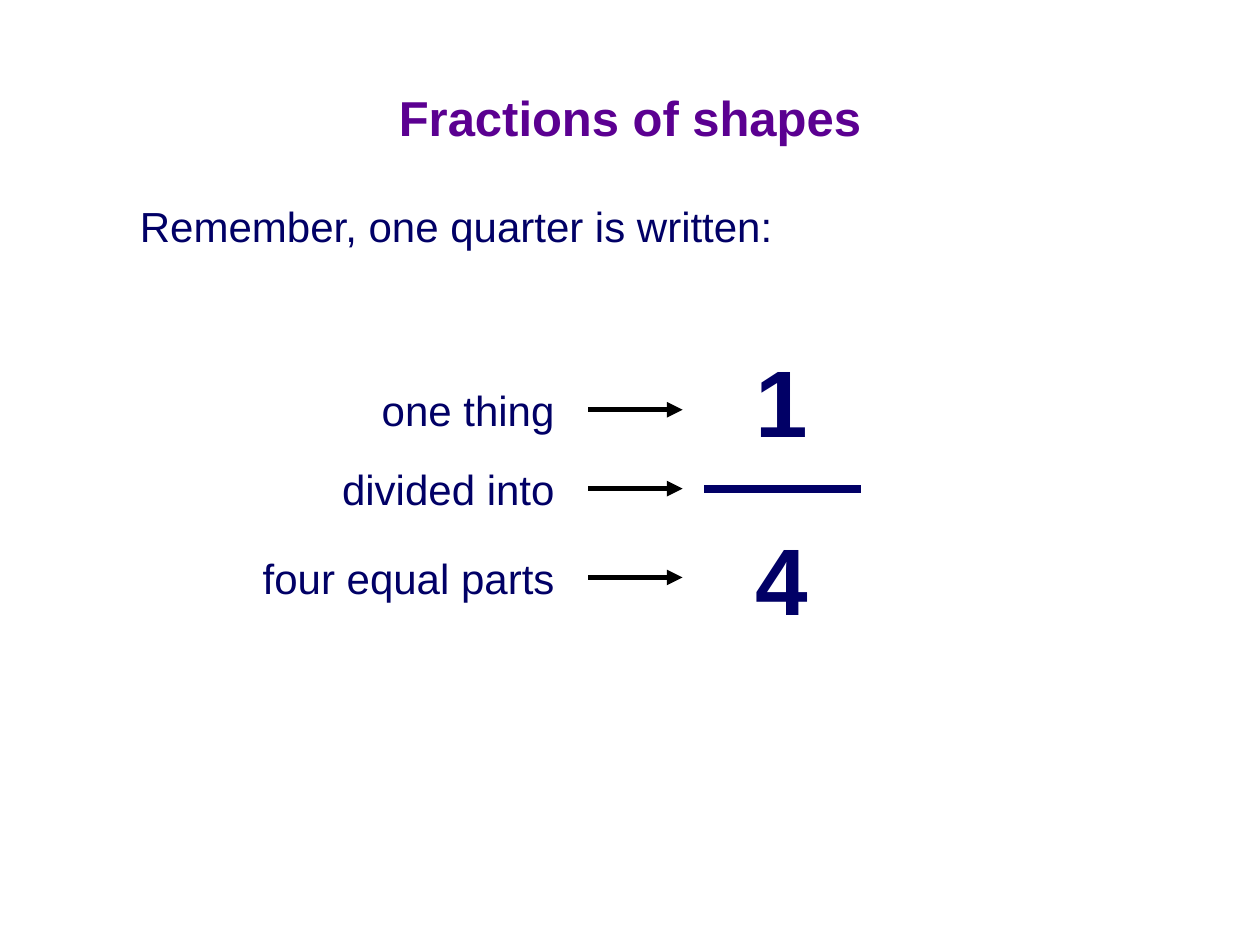
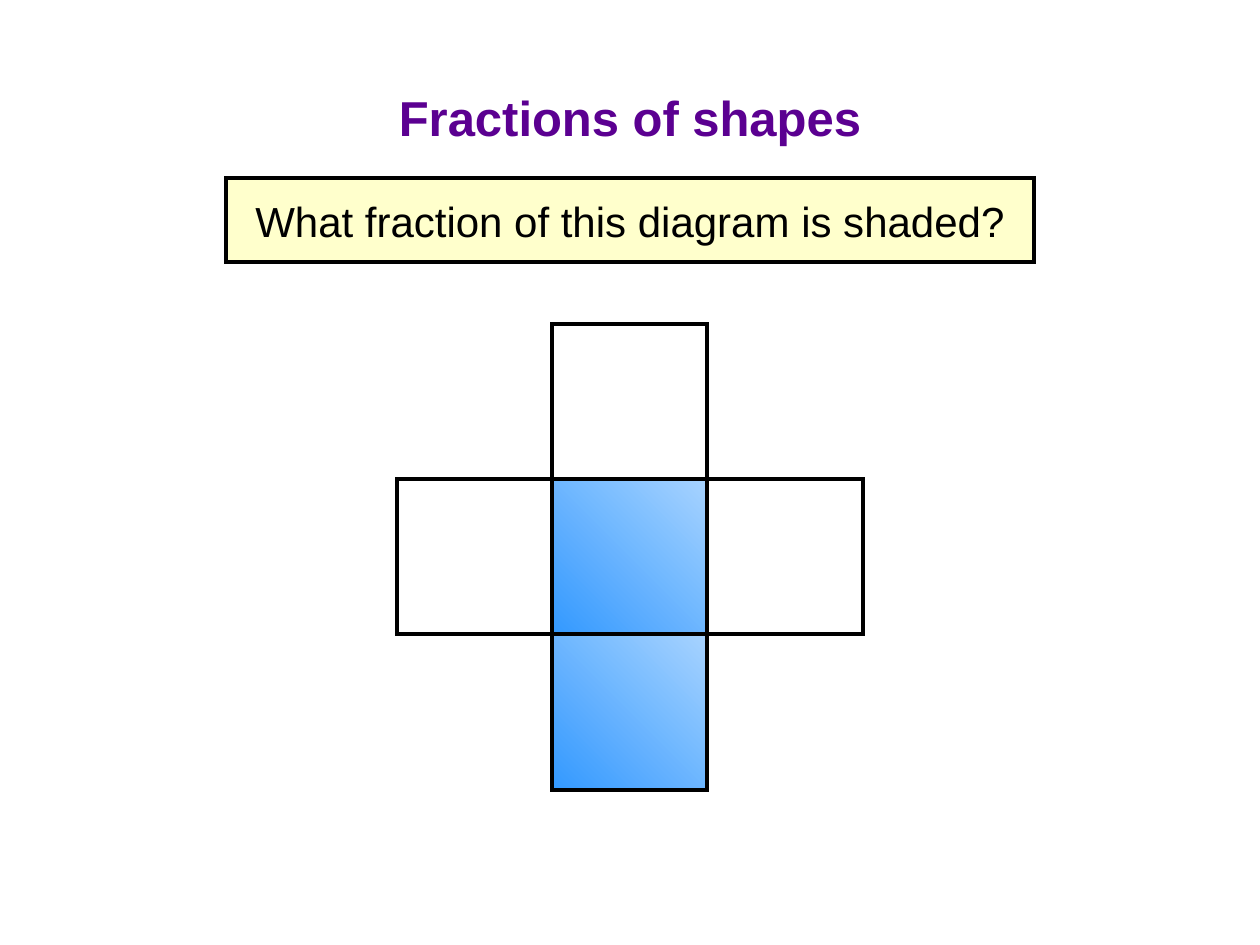
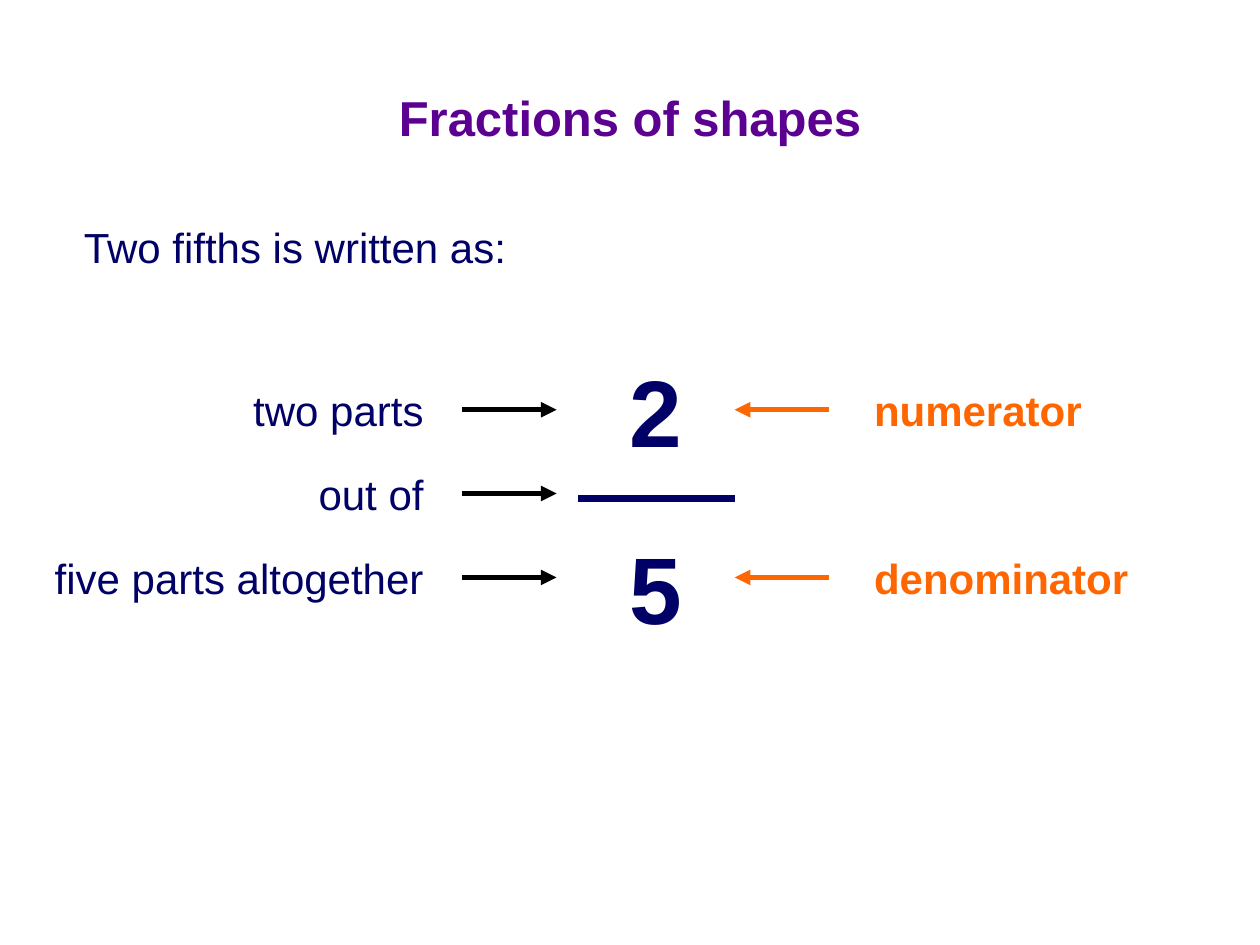
from dataclasses import dataclass

from lxml.etree import SubElement
from pptx import Presentation
from pptx.dml.color import RGBColor
from pptx.enum.shapes import MSO_CONNECTOR, MSO_SHAPE
from pptx.enum.text import MSO_ANCHOR, PP_ALIGN
from pptx.oxml.ns import qn
from pptx.util import Cm, Pt


@dataclass(frozen=True)
class Theme:
    font: str = "Arial"
    purple: str = "5B0091"
    navy: str = "010066"
    orange: str = "FF6600"
    black: str = "000000"
    white: str = "FFFFFF"
    cream: str = "FFFFCC"
    shade: tuple = ("A7D3FF", "3399FF")
    title_size: float = 28
    text_size: float = 24
    digit_size: float = 54
    outline: float = 2.25
    arrow: float = 3
    bar: float = 4.5


T = Theme()
LINE_H = 1.27
DIGIT_H = 2.54


def style(p, color, size=T.text_size, bold=False, align=PP_ALIGN.LEFT):
    p.alignment = align
    p.font.name = T.font
    p.font.size = Pt(size)
    p.font.bold = bold
    p.font.color.rgb = RGBColor.from_string(color)


def add_titled_slide(prs):
    s = prs.slides.add_slide(prs.slide_layouts[5])
    title = s.shapes.title
    title.left, title.top, title.width, title.height = Cm(1.27), Cm(0.76), Cm(22.86), Cm(3.18)
    title.text_frame.text = "Fractions of shapes"
    style(title.text_frame.paragraphs[0], T.purple, T.title_size, True, PP_ALIGN.CENTER)
    return s


def add_text(s, text, left, top, width, height=LINE_H, color=T.navy, **look):
    tf = s.shapes.add_textbox(Cm(left), Cm(top), Cm(width), Cm(height)).text_frame
    tf.word_wrap = False
    p = tf.paragraphs[0]
    p.text = text
    style(p, color, **look)


def add_line(s, x1, x2, y, color, weight, arrow=True):
    """Draw a horizontal line, with an arrowhead at x2 if arrow is set."""
    line = s.shapes.add_connector(MSO_CONNECTOR.STRAIGHT, Cm(x1), Cm(y), Cm(x2), Cm(y))
    line.line.color.rgb = RGBColor.from_string(color)
    line.line.width = Pt(weight)
    props = line.element.spPr
    if arrow:
        SubElement(props.find(qn("a:ln")), qn("a:tailEnd"), type="triangle")
    SubElement(props, qn("a:effectLst"))


def add_rect(shapes, left, top, width, height, fill):
    """Add an outlined rectangle; a pair of colours as fill makes a gradient."""
    rect = shapes.add_shape(MSO_SHAPE.RECTANGLE, Cm(left), Cm(top), Cm(width), Cm(height))
    rect.shadow.inherit = False
    if isinstance(fill, tuple):
        rect.fill.gradient()
        rect.fill.gradient_angle = 225
        for stop, color in zip(rect.fill.gradient_stops, fill):
            stop.color.rgb = RGBColor.from_string(color)
    else:
        rect.fill.solid()
        rect.fill.fore_color.rgb = RGBColor.from_string(fill)
    rect.line.color.rgb = RGBColor.from_string(T.black)
    rect.line.width = Pt(T.outline)
    SubElement(rect.element.spPr.find(qn("a:ln")), qn("a:miter"), lim="800000")
    return rect


def add_fraction(s, left, rows, bar_y, digits, label_gap, labels, names=()):
    """Draw a fraction explained by arrows that start at left, one per row."""
    arrow_w, bar_x, bar_w = 1.9, 2.34, 3.15
    bar_end = left + bar_x + bar_w

    for y, (text, width) in zip(rows, labels):
        add_text(s, text, left - label_gap - width, y - LINE_H / 2, width,
                 align=PP_ALIGN.RIGHT)
        add_line(s, left, left + arrow_w, y, T.black, T.arrow)

    for digit, offset in zip(digits, (-3.06, 0.52)):
        add_text(s, digit, left + 3.12, bar_y + offset, 1.55, DIGIT_H,
                 size=T.digit_size, bold=True)
    add_line(s, left + bar_x, bar_end, bar_y, T.navy, T.bar, arrow=False)

    for y, (text, width) in zip(rows[::2], names):
        add_line(s, bar_end + arrow_w, bar_end, y, T.orange, T.arrow)
        add_text(s, text, left + 8.05, y - LINE_H / 2, width, color=T.orange, bold=True)


def add_question(s, text, left, top, width, height):
    tf = add_rect(s.shapes, left, top, width, height, T.cream).text_frame
    tf.word_wrap = False
    tf.vertical_anchor = MSO_ANCHOR.MIDDLE
    p = tf.paragraphs[0]
    p.text = text
    style(p, T.black, align=PP_ALIGN.CENTER)


def add_cross(s, left, top, side):
    """Draw a cross of five squares, with the middle and bottom ones shaded."""
    cells = ((1, 0, T.white), (1, 1, T.shade), (1, 2, T.shade), (2, 1, T.white), (0, 1, T.white))
    group = s.shapes.add_group_shape()
    for col, row, fill in cells:
        add_rect(group.shapes, left + col * side, top + row * side, side, side, fill)


def build_quarter(prs):
    s = add_titled_slide(prs)
    add_text(s, "Remember, one quarter is written:", 2.57, 3.91, 13.4)
    add_fraction(s, 11.86, (8.26, 9.85, 11.64), 9.85, "14", 0.43,
                 (("one thing", 4.2), ("divided into", 5), ("four equal parts", 6.6)))


def build_question(prs):
    s = add_titled_slide(prs)
    add_question(s, "What fraction of this diagram is shaded?", 4.55, 3.59, 16.3, 1.7)
    add_cross(s, 8, 6.53, 3.13)


def build_fifths(prs):
    s = add_titled_slide(prs)
    add_text(s, "Two fifths is written as:", 1.44, 4.34, 9.2)
    add_fraction(s, 9.32, (8.26, 9.95, 11.64), 10.05, "25", 0.53,
                 (("two parts", 4.1), ("out of", 2.8), ("five parts altogether", 8.1)),
                 (("numerator", 4.8), ("denominator", 5.8)))


def main():
    prs = Presentation()
    prs.slide_width, prs.slide_height = Cm(25.4), Cm(19.05)
    for build in (build_quarter, build_question, build_fifths):
        build(prs)
    prs.save("out.pptx")


if __name__ == "__main__":
    main()
